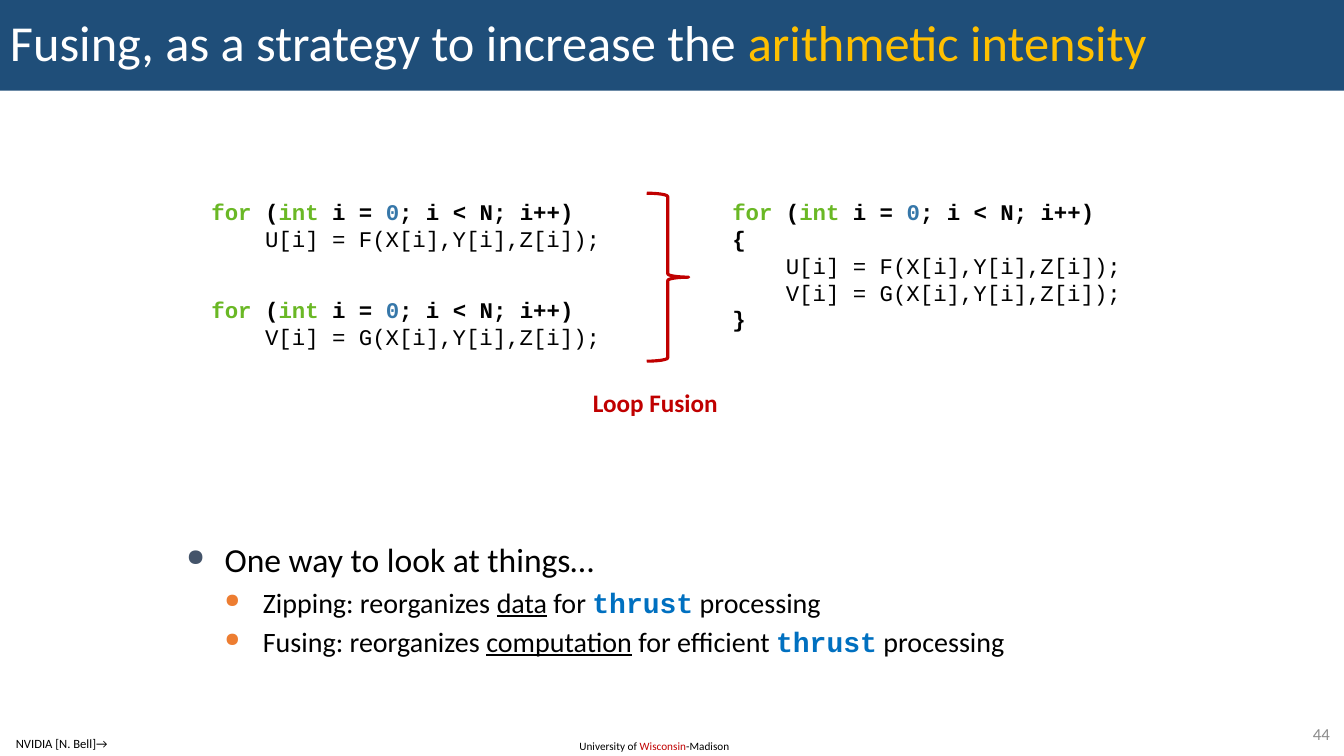
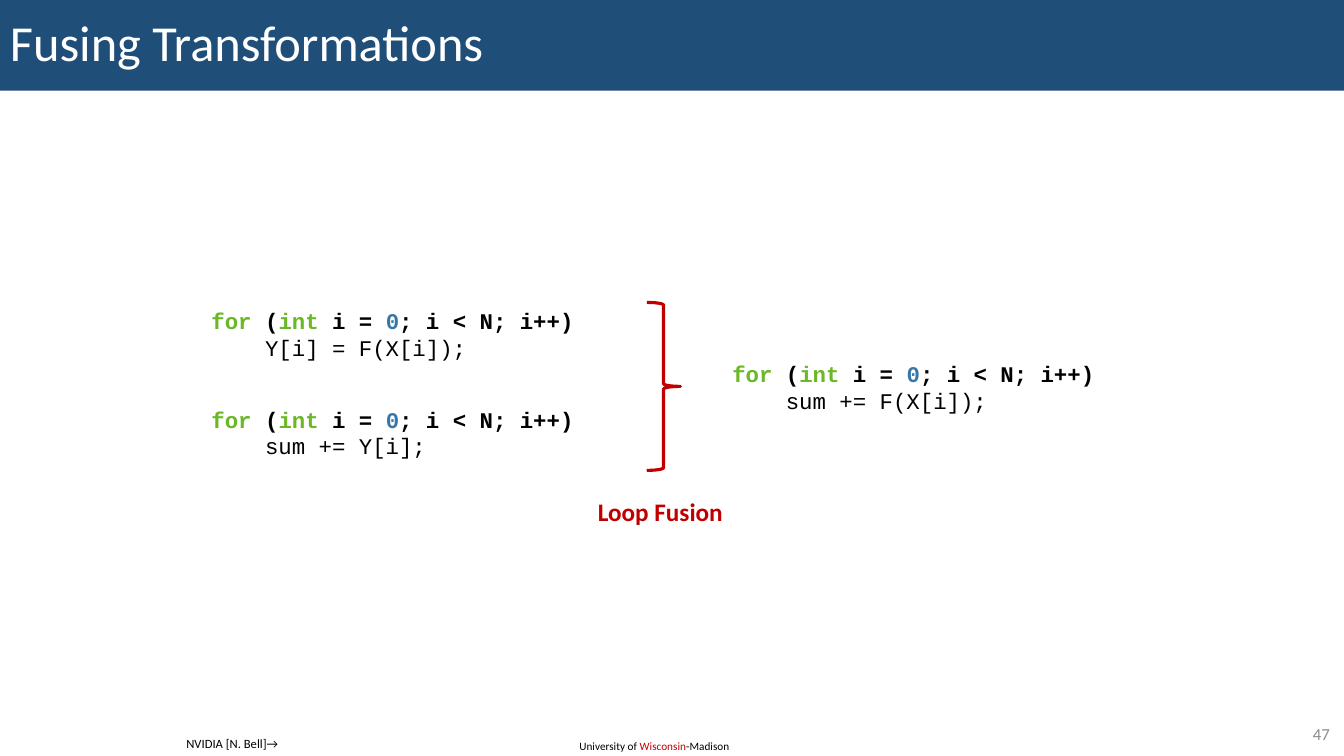
from dataclasses import dataclass
from typing import NamedTuple

from lxml import etree
from pptx import Presentation
from pptx.dml.color import RGBColor
from pptx.enum.shapes import MSO_SHAPE
from pptx.enum.text import MSO_ANCHOR, PP_ALIGN
from pptx.oxml.ns import qn
from pptx.util import Inches, Pt

RECTANGLE, BRACE = MSO_SHAPE.RECTANGLE, MSO_SHAPE.RIGHT_BRACE
TOP, MIDDLE = MSO_ANCHOR.TOP, MSO_ANCHOR.MIDDLE
LEFT, RIGHT = PP_ALIGN.LEFT, PP_ALIGN.RIGHT

NAVY = RGBColor(0x1F, 0x4E, 0x79)
WHITE = RGBColor(0xFF, 0xFF, 0xFF)
BLACK = RGBColor(0x00, 0x00, 0x00)
GOLD = RGBColor(0xFF, 0xC0, 0x00)
RED = RGBColor(0xC0, 0x00, 0x00)
GRAY = RGBColor(0x8C, 0x8C, 0x8C)
KEYWORD_GREEN = RGBColor(0x6A, 0xB8, 0x25)
NUMBER_BLUE = RGBColor(0x36, 0x77, 0xA9)
LIBRARY_BLUE = RGBColor(0x00, 0x70, 0xC0)
BULLET_COLORS = (RGBColor(0x44, 0x54, 0x6A), RGBColor(0xED, 0x7D, 0x31))

COLUMNS, ROWS = 160, 90
CELL = Inches(7.5) / ROWS

TITLE = {"name": "Calibri", "size": Pt(36)}
FOOTER = {"name": "Calibri", "size": Pt(8)}
CREDIT = {"name": "Calibri", "size": Pt(9)}
PAGE = {"name": "Calibri", "size": Pt(12)}
LABEL = {"name": "Calibri", "size": Pt(18), "bold": True}
CODE = {"name": "Courier New", "size": Pt(16)}
CODE_BOLD = CODE | {"bold": True}
POINT = {"name": "Calibri", "size": Pt(24)}
SUBPOINT = {"name": "Calibri", "size": Pt(20)}
STRESSED = SUBPOINT | {"underline": True}
LIBRARY = {"name": "Courier New", "size": Pt(20), "bold": True}

INDENT = Inches(0.38)
BULLET_SPACING = 0.2
BULLET_SIZE = 0.7


class Span(NamedTuple):
    text: str
    style: dict
    color: RGBColor = BLACK


class Box(NamedTuple):
    """A place on the grid, in columns and rows."""
    col: float
    row: float
    cols: float
    rows: float

    def emu(self) -> list[int]:
        return [round(length * CELL) for length in self]


@dataclass(frozen=True)
class Loop:
    box: Box
    body: tuple[str, ...]


@dataclass(frozen=True)
class FusionSlide:
    title: tuple[Span, ...]
    page: int
    loops: tuple[Loop, ...]
    brace: Box
    label_col: float
    credit_col: float
    points: tuple[tuple[int, tuple[Span, ...]], ...] = ()


LOOP_HEADER = (
    Span("for", CODE_BOLD, KEYWORD_GREEN),
    Span(" (", CODE_BOLD),
    Span("int", CODE_BOLD, KEYWORD_GREEN),
    Span(" i = ", CODE_BOLD),
    Span("0", CODE_BOLD, NUMBER_BLUE),
    Span("; i < N; i++)", CODE_BOLD),
)
THRUST = Span("thrust", LIBRARY, LIBRARY_BLUE)
LOOP_COL, FUSED_COL, LOOP_COLS = 24, 86, 60
LOOP_STEP = 11.7
BRACE_COL, BRACE_ROWS = 77, 20
LABEL_GAP = 2.5
POINTS_BOX = Box(21, 63.6, 119, 17.4)


def loop_pair(row: float, first: str, second: str) -> tuple[Loop, Loop]:
    """The two separate loops, one below the other."""
    return tuple(
        Loop(Box(LOOP_COL, row + i * LOOP_STEP, LOOP_COLS, 7.7), (line,))
        for i, line in enumerate((first, second))
    )


SLIDES = (
    FusionSlide(
        title=(
            Span("Fusing, as a strategy to increase the ", TITLE, WHITE),
            Span("arithmetic intensity", TITLE, GOLD),
        ),
        page=44,
        loops=(
            *loop_pair(23, "    U[i] = F(X[i],Y[i],Z[i]);", "    V[i] = G(X[i],Y[i],Z[i]);"),
            Loop(
                Box(FUSED_COL, 23, LOOP_COLS, 17.4),
                ("{", "    U[i] = F(X[i],Y[i],Z[i]);", "    V[i] = G(X[i],Y[i],Z[i]);", "}"),
            ),
        ),
        brace=Box(BRACE_COL, 23, 5, BRACE_ROWS),
        label_col=69.4,
        credit_col=0.7,
        points=(
            (0, (Span("One way to look at things…", POINT),)),
            (1, (
                Span("Zipping: reorganizes ", SUBPOINT),
                Span("data", STRESSED),
                Span(" for ", SUBPOINT),
                THRUST,
                Span(" processing", SUBPOINT),
            )),
            (1, (
                Span("Fusing: reorganizes ", SUBPOINT),
                Span("computation", STRESSED),
                Span(" for efficient ", SUBPOINT),
                THRUST,
                Span(" processing", SUBPOINT),
            )),
        ),
    ),
    FusionSlide(
        title=(Span("Fusing Transformations", TITLE, WHITE),),
        page=47,
        loops=(
            *loop_pair(36, "    Y[i] = F(X[i]);", "    sum += Y[i];"),
            Loop(Box(FUSED_COL, 42.3, LOOP_COLS, 7.7), ("    sum += F(X[i]);",)),
        ),
        brace=Box(BRACE_COL, 36, 4, BRACE_ROWS),
        label_col=70,
        credit_col=21,
    ),
)


def write_spans(paragraph, spans) -> None:
    for span in spans:
        run = paragraph.add_run()
        run.text = span.text
        for attribute, value in span.style.items():
            setattr(run.font, attribute, value)
        run.font.color.rgb = span.color


def write_lines(frame, lines) -> list:
    paragraphs = []
    for i, spans in enumerate(lines):
        paragraph = frame.add_paragraph() if i else frame.paragraphs[0]
        write_spans(paragraph, spans)
        paragraphs.append(paragraph)
    return paragraphs


def add_text(slide, box: Box, lines, wrap=True, anchor=TOP, align=LEFT) -> list:
    frame = slide.shapes.add_textbox(*box.emu()).text_frame
    frame.word_wrap = wrap
    frame.vertical_anchor = anchor
    paragraphs = write_lines(frame, lines)
    for paragraph in paragraphs:
        paragraph.alignment = align
    return paragraphs


def add_title(slide, spans) -> None:
    band = slide.shapes.add_shape(RECTANGLE, *Box(0, 0, COLUMNS, 10.8).emu())
    band.shadow.inherit = False
    band.fill.solid()
    band.fill.fore_color.rgb = NAVY
    band.line.fill.background()
    band.text_frame.word_wrap = True
    band.text_frame.vertical_anchor = MIDDLE
    title, = write_lines(band.text_frame, [spans])
    title.alignment = LEFT
    title.line_spacing = 0.9


def add_frame(slide, content: FusionSlide) -> None:
    """The title band, university line, page number and credit."""
    university = (
        Span("University of ", FOOTER),
        Span("Wisconsin", FOOTER, RED),
        Span("-Madison", FOOTER),
    )
    add_text(slide, Box(67.8, 87.4, 20.6, 2.9), [university])
    add_title(slide, content.title)
    page = Span(str(content.page), PAGE, GRAY)
    add_text(slide, Box(150.4, 85.6, 9.1, 3.5), [[page]], anchor=MIDDLE, align=RIGHT)
    credit = Span("NVIDIA [N. Bell]→", CREDIT)
    add_text(slide, Box(content.credit_col, 87, 13.3, 3), [[credit]], wrap=False)


def add_loop(slide, loop: Loop) -> None:
    body = [[Span(line, CODE_BOLD if line in "{}" else CODE)] for line in loop.body]
    add_text(slide, loop.box, [LOOP_HEADER, *body])


def add_brace(slide, box: Box, label_col: float) -> None:
    brace = slide.shapes.add_shape(BRACE, *box.emu())
    brace.shadow.inherit = False
    brace.fill.background()
    brace.line.color.rgb = RED
    brace.line.width = Pt(2.25)
    brace.adjustments[0] = 0.08
    brace.adjustments[1] = 0.5
    label_row = box.row + box.rows + LABEL_GAP + (box.cols == 4) * 0
    label = Span("Loop Fusion", LABEL, RED)
    add_text(slide, Box(label_col, label_row, 17.4, 4.8), [[label]], wrap=False)


def set_bullet(paragraph, level: int) -> None:
    properties = paragraph._p.get_or_add_pPr()
    properties.set("marL", str(INDENT * (level + 1)))
    properties.set("indent", str(-INDENT))
    color = etree.SubElement(properties, qn("a:buClr"))
    etree.SubElement(color, qn("a:srgbClr"), val=str(BULLET_COLORS[level]))
    etree.SubElement(properties, qn("a:buSzPct"), val=str(round(BULLET_SIZE * 100000)))
    etree.SubElement(properties, qn("a:buChar"), char="●")
    paragraph.level = level


def add_points(slide, points) -> None:
    paragraphs = add_text(slide, POINTS_BOX, [spans for _, spans in points])
    for i, (paragraph, (level, spans)) in enumerate(zip(paragraphs, points)):
        set_bullet(paragraph, level)
        if i:
            paragraph.space_before = Pt(BULLET_SPACING * spans[0].style["size"].pt)


def main() -> None:
    deck = Presentation()
    deck.slide_width, deck.slide_height = round(COLUMNS * CELL), round(ROWS * CELL)
    blank = deck.slide_layouts[6]
    for content in SLIDES:
        slide = deck.slides.add_slide(blank)
        add_frame(slide, content)
        for loop in content.loops:
            add_loop(slide, loop)
        add_brace(slide, content.brace, content.label_col)
        if content.points:
            add_points(slide, content.points)
    deck.save("out.pptx")


if __name__ == "__main__":
    main()
